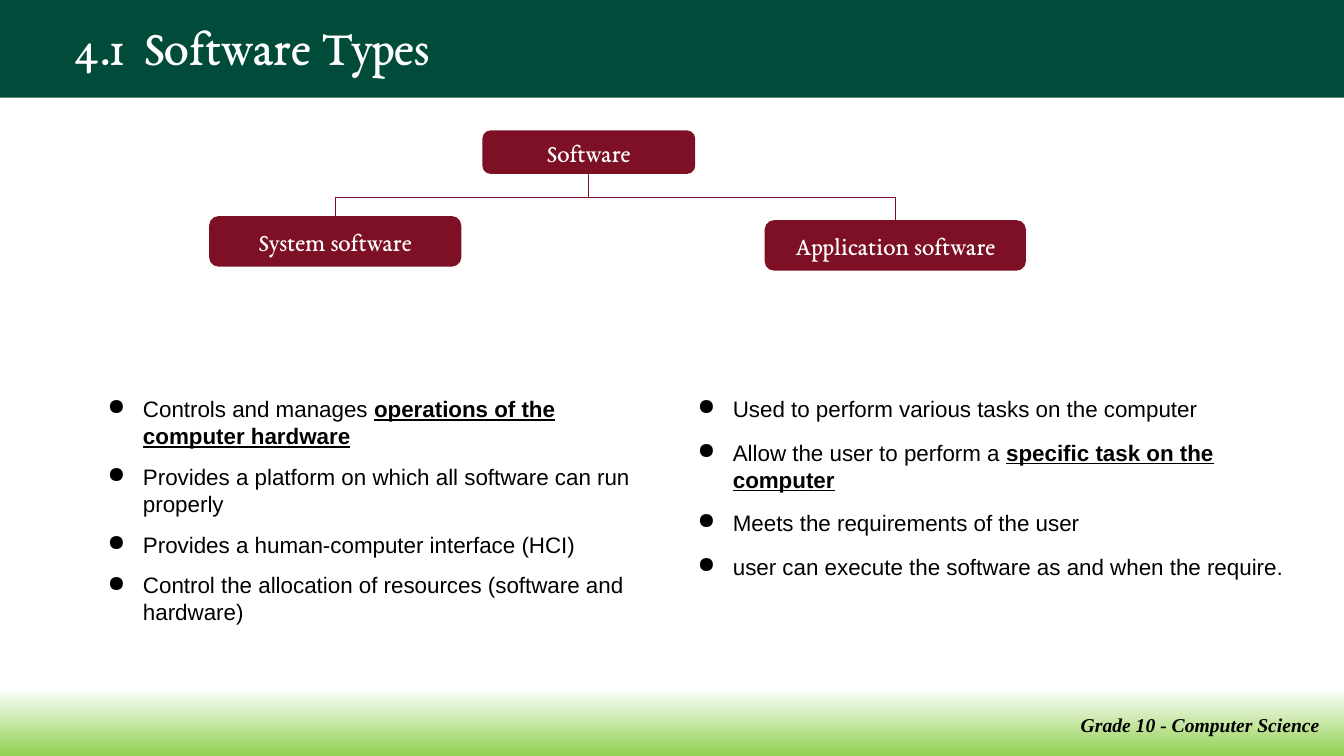
from dataclasses import dataclass

from lxml import etree
from pptx import Presentation
from pptx import util as u
from pptx.dml.color import RGBColor
from pptx.enum import shapes, text
from pptx.oxml import ns


@dataclass(frozen=True)
class Theme:
    banner: RGBColor = RGBColor(0x01, 0x4B, 0x3B)
    node: RGBColor = RGBColor(0x7D, 0x10, 0x24)
    light: RGBColor = RGBColor(0xFF, 0xFF, 0xFF)
    dark: RGBColor = RGBColor(0, 0, 0)
    grass: RGBColor = RGBColor(0x92, 0xD0, 0x50)
    display_font: str = "EB Garamond"
    body_font: str = "Arial"
    footer_font: str = "Times New Roman"
    title_size: int = 36
    node_size: int = 18
    body_size: int = 16
    footer_size: int = 14


@dataclass(frozen=True)
class Box:
    left: float
    top: float
    width: float
    height: float

    def inches(self):
        return [u.Inches(n) for n in (self.left, self.top, self.width, self.height)]


@dataclass(frozen=True)
class Node:
    label: str
    box: Box


@dataclass(frozen=True)
class Bullet:
    plain: str
    stressed: str = ""


@dataclass(frozen=True)
class BulletList:
    box: Box
    gap: int
    bullets: tuple[Bullet, ...]


THEME = Theme()
BAR_Y = u.Inches(1.96)
ROOT = Node("Software", Box(4.8, 1.31, 2.08, 0.4))
CHILDREN = (
    Node("System software", Box(2.09, 2.16, 2.47, 0.47)),
    Node("Application software", Box(7.6, 2.2, 2.56, 0.47)),
)
LISTS = (
    BulletList(Box(0.82, 3.82, 5.7, 3.01), 10, (
        Bullet("Controls and manages ", "operations of the computer hardware"),
        Bullet("Provides a platform on which all software can run properly"),
        Bullet("Provides a human-computer interface (HCI)"),
        Bullet("Control the allocation of resources (software and hardware)"),
    )),
    BulletList(Box(6.67, 3.82, 6.28, 2.87), 12, (
        Bullet("Used to perform various tasks on the computer"),
        Bullet("Allow the user to perform a ", "specific task on the computer"),
        Bullet("Meets the requirements of the user"),
        Bullet("user can execute the software as and when the require."),
    )),
)


def add_run(paragraph, content: str, font_name: str, size: int, color: RGBColor):
    run = paragraph.add_run()
    run.text = content
    run.font.name = font_name
    run.font.size = u.Pt(size)
    run.font.color.rgb = color
    return run


def set_insets(frame, inset: float) -> None:
    frame.margin_left = frame.margin_right = u.Inches(inset)
    frame.margin_top = frame.margin_bottom = u.Inches(inset)


def paint_background(slide) -> None:
    fill = slide.background.fill
    fill.gradient()
    fill.gradient_angle = 270
    for stop, position, color in zip(
        fill.gradient_stops, (0.91, 1.0), (THEME.light, THEME.grass)
    ):
        stop.position = position
        stop.color.rgb = color


def write_title(slide) -> None:
    title = slide.shapes.title
    title.left, title.top, title.width, title.height = Box(0, 0, 13.33, 0.97).inches()
    title.fill.solid()
    title.fill.fore_color.rgb = THEME.banner
    frame = title.text_frame
    frame.auto_size = text.MSO_AUTO_SIZE.NONE
    frame.vertical_anchor = text.MSO_ANCHOR.MIDDLE
    frame.margin_left = u.Inches(0.73)
    paragraph = frame.paragraphs[0]
    tabs = etree.SubElement(paragraph._p.get_or_add_pPr(), ns.qn("a:tabLst"))
    etree.SubElement(tabs, ns.qn("a:tab"), pos=str(u.Inches(0.7)), algn="l")
    paragraph.alignment = text.PP_ALIGN.LEFT
    paragraph.line_spacing = 0.9
    add_run(paragraph, "4.1\tSoftware Types", THEME.display_font, THEME.title_size, THEME.light)


def write_footer(slide) -> None:
    footer = slide.shapes.add_textbox(*Box(10.62, 7.02, 2.71, 0.34).inches())
    footer.text_frame.word_wrap = True
    run = add_run(footer.text_frame.paragraphs[0], "Grade 10 - Computer Science",
                  THEME.footer_font, THEME.footer_size, THEME.dark)
    run.font.bold = run.font.italic = True


def draw_node(slide, node: Node):
    shape = slide.shapes.add_shape(shapes.MSO_SHAPE.ROUNDED_RECTANGLE, *node.box.inches())
    shape.shadow.inherit = False
    shape.fill.solid()
    shape.fill.fore_color.rgb = THEME.node
    shape.line.color.rgb = THEME.node
    shape.line.width = u.Pt(2.25)
    frame = shape.text_frame
    frame.word_wrap = True
    frame.vertical_anchor = text.MSO_ANCHOR.MIDDLE
    set_insets(frame, 0.1)
    paragraph = frame.paragraphs[0]
    paragraph.alignment = text.PP_ALIGN.CENTER
    add_run(paragraph, node.label, THEME.display_font, THEME.node_size, THEME.light)
    return shape


def join(slide, parent, child) -> None:
    """Run an elbow down from parent to child, turning at the shared bar."""
    connector = slide.shapes.add_connector(shapes.MSO_CONNECTOR.ELBOW, 0, 0, 0, 0)
    connector.begin_connect(parent, 0 + 2)
    connector.end_connect(child, 0)
    start_x, start_y = parent.left + parent.width // 2, parent.top + parent.height
    end_x, end_y = child.left + child.width // 2, child.top
    drop, reach = end_y - start_y, abs(end_x - start_x)
    # An elbow starts sideways, so its box is laid flat and turned a quarter.
    connector.left = (start_x + end_x - drop) // 2
    connector.top = (start_y + end_y - reach) // 2
    connector.width, connector.height = drop, reach
    goes_right = end_x > start_x
    properties = connector._element.spPr
    properties.xfrm.set("rot", str((270 if goes_right else 90) * 60000))
    properties.xfrm.set("flipH", "1" if goes_right else "0")
    adjustments = properties.find(ns.qn("a:prstGeom")).find(ns.qn("a:avLst"))
    turn = round(100000 * (BAR_Y - start_y) / drop)
    etree.SubElement(adjustments, ns.qn("a:gd"), name="adj1", fmla=f"val {turn}")
    connector.line.color.rgb = THEME.node
    connector.line.width = u.Pt(0.75)
    etree.SubElement(properties, ns.qn("a:effectLst"))


def add_bullet_mark(paragraph) -> None:
    properties = paragraph._p.get_or_add_pPr()
    properties.set("marL", str(u.Inches(0.5)))
    properties.set("indent", str(u.Inches(-0.35)))
    color = etree.SubElement(properties, ns.qn("a:buClr"))
    etree.SubElement(color, ns.qn("a:srgbClr"), val=str(THEME.dark))
    etree.SubElement(properties, ns.qn("a:buChar"), char="●")


def write_list(slide, bullet_list: BulletList) -> None:
    frame = slide.shapes.add_textbox(*bullet_list.box.inches()).text_frame
    frame.word_wrap = True
    set_insets(frame, 0.1)
    for index, bullet in enumerate(bullet_list.bullets):
        paragraph = frame.add_paragraph() if index else frame.paragraphs[0]
        add_bullet_mark(paragraph)
        if index:
            paragraph.space_before = u.Pt(bullet_list.gap)
        style = (THEME.body_font, THEME.body_size, THEME.dark)
        add_run(paragraph, bullet.plain, *style)
        if bullet.stressed:
            run = add_run(paragraph, bullet.stressed, *style)
            run.font.bold = run.font.underline = True


def main() -> None:
    presentation = Presentation()
    presentation.slide_width, presentation.slide_height = u.Inches(13.33), u.Inches(7.5)
    slide = presentation.slides.add_slide(presentation.slide_layouts.get_by_name("Title Only"))
    paint_background(slide)
    write_title(slide)
    write_footer(slide)
    root = draw_node(slide, ROOT)
    for child in [draw_node(slide, node) for node in CHILDREN]:
        join(slide, root, child)
    for bullet_list in LISTS:
        write_list(slide, bullet_list)
    presentation.save("out.pptx")


if __name__ == "__main__":
    main()
